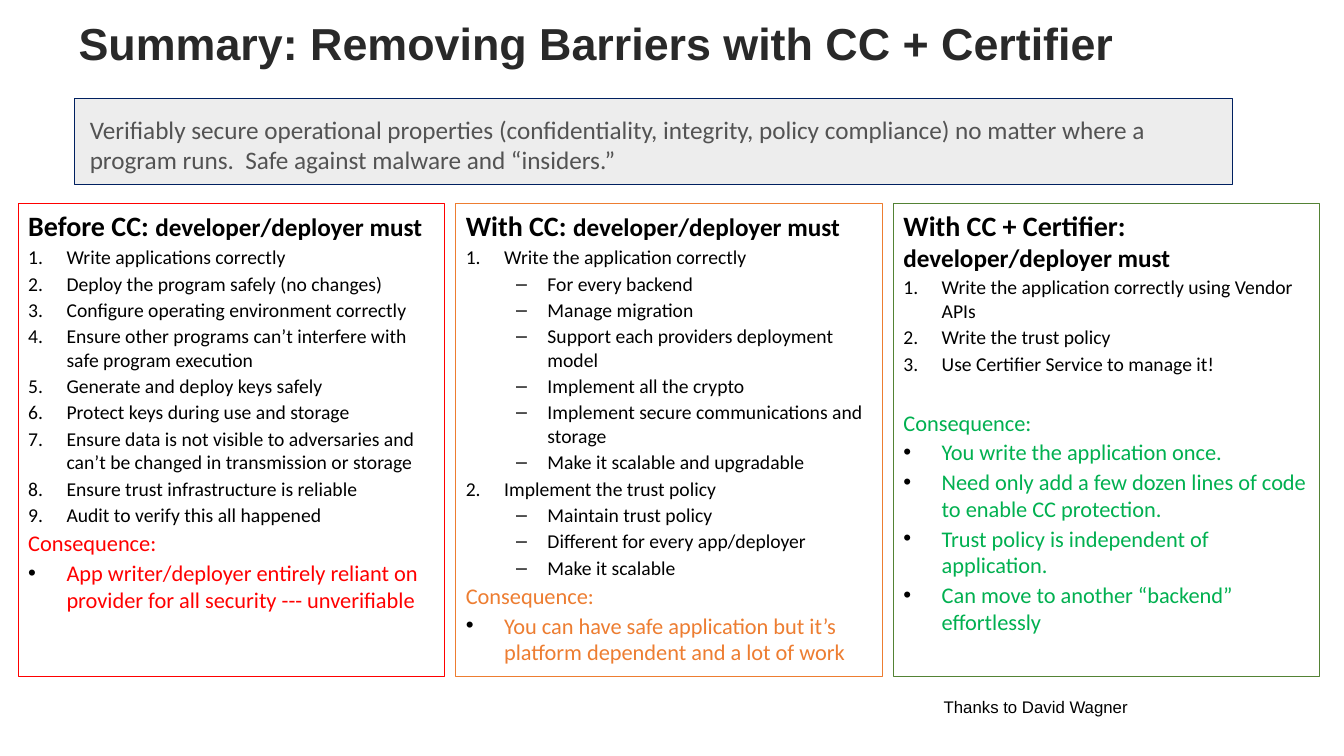
"""Build the summary slide comparing barriers before CC, with CC and with CC + Certifier."""
import lxml.etree
import pptx
import pptx.dml.color
import pptx.enum.text
import pptx.oxml.ns
import pptx.util

RGBColor = pptx.dml.color.RGBColor
Pt = pptx.util.Pt
PX = 9144

BLACK = RGBColor(0x00, 0x00, 0x00)
CHARCOAL = RGBColor(0x29, 0x29, 0x29)
GREY = RGBColor(0x53, 0x53, 0x53)
PALE = RGBColor(0xED, 0xED, 0xED)
NAVY = RGBColor(0x00, 0x20, 0x60)
RED = RGBColor(0xFF, 0x00, 0x00)
ORANGE = RGBColor(0xED, 0x7D, 0x31)
FOREST = RGBColor(0x54, 0x82, 0x35)
GREEN = RGBColor(0x00, 0xB0, 0x50)

NUMBER = ("buAutoNum", {"type": "arabicPeriod"}, 0, 38, 38)
DASH = ("buChar", {"char": "–"}, 1, 81, 31)
DOT = ("buChar", {"char": "•"}, 0, 38, 38)

COLUMNS = [
    {"heading": "Before CC: ", "border": RED, "accent": RED, "gap": 2,
     "tasks": [("Write applications correctly", []),
               ("Deploy the program safely (no changes)", []),
               ("Configure operating environment correctly", []),
               ("Ensure other programs can’t interfere with safe program execution", []),
               ("Generate and deploy keys safely", []),
               ("Protect keys during use and storage", []),
               ("Ensure data is not visible to adversaries and can’t be changed "
                "in transmission or storage", []),
               ("Ensure trust infrastructure is reliable", []),
               ("Audit to verify this all happened", [])],
     "results": ["App writer/deployer entirely reliant on provider for all security "
                 "--- unverifiable"]},
    {"heading": "With CC: ", "border": ORANGE, "accent": ORANGE, "gap": 2,
     "tasks": [("Write the application correctly",
                ["For every backend", "Manage migration",
                 "Support each providers deployment model", "Implement all the crypto",
                 "Implement secure communications and storage",
                 "Make it scalable and upgradable"]),
               ("Implement the trust policy",
                ["Maintain trust policy", "Different for every app/deployer",
                 "Make it scalable"])],
     "results": ["You can have safe application but it’s platform dependent "
                 "and a lot of work"]},
    {"heading": "With CC + Certifier: ", "border": FOREST, "accent": GREEN, "gap": 24,
     "tasks": [("Write the application correctly using Vendor APIs", []),
               ("Write the trust policy", []),
               ("Use Certifier Service to manage it!", [])],
     "results": ["You write the application once.",
                 "Need only add a few dozen lines of code to enable CC protection.",
                 "Trust policy is independent of application.",
                 "Can move to another “backend” effortlessly"]},
]


def set_all(target, values):
    """Set every attribute named in a dict of format values."""
    for name, value in values.items():
        setattr(target, name, value)


def place(sp, left, top, width, height, inset_x, inset_y, anchor="TOP"):
    """Move a text shape to its place and return its prepared text frame."""
    set_all(sp, {"left": left * PX, "top": top * PX,
                 "width": width * PX, "height": height * PX})
    tf = sp.text_frame
    set_all(tf, {"word_wrap": True, "auto_size": pptx.enum.text.MSO_AUTO_SIZE.NONE,
                 "vertical_anchor": pptx.enum.text.MSO_ANCHOR[anchor],
                 "margin_left": inset_x * PX, "margin_right": inset_x * PX,
                 "margin_top": inset_y * PX, "margin_bottom": inset_y * PX})
    return tf


def outline(sp, color):
    """Give a shape a thin border."""
    sp.line.color.rgb = color
    sp.line.width = Pt(0.75)


def add_run(p, text, size, color=BLACK, bold=False, font="Calibri"):
    """Add a formatted run to a paragraph."""
    r = p.add_run()
    r.text = text
    set_all(r.font, {"size": Pt(size), "bold": bold, "name": font})
    r.font.color.rgb = color


def add_paragraph(tf, bullet=None, before=2, after=0, spacing=1.0):
    """Add a left-aligned paragraph with an optional bullet, using the first one if empty."""
    p = tf.paragraphs[0] if not tf.text else tf.add_paragraph()
    set_all(p, {"alignment": pptx.enum.text.PP_ALIGN.LEFT, "space_before": Pt(before),
                "space_after": Pt(after), "line_spacing": spacing})
    tag, attributes, level, margin, hanging = bullet or ("buNone", {}, 0, 0, 0)
    p.level = level
    pPr = p._p.get_or_add_pPr()
    pPr.set("marL", str(margin * PX))
    pPr.set("indent", str(-hanging * PX))
    qn = pptx.oxml.ns.qn
    if bullet:
        color = lxml.etree.SubElement(pPr, qn("a:buClr"))
        lxml.etree.SubElement(color, qn("a:srgbClr"), val=str(BLACK))
        lxml.etree.SubElement(pPr, qn("a:buFont"), typeface="Arial" if tag == "buChar" else "+mj-lt")
    lxml.etree.SubElement(pPr, qn("a:" + tag), attributes)
    return p


def fill_column(sp, left, column):
    """Write one bordered column with its heading, tasks and consequences."""
    tf = place(sp, left, 202, 423, 469, 10, 5)
    outline(sp, column["border"])
    heading = add_paragraph(tf)
    add_run(heading, column["heading"], 20, bold=True)
    add_run(heading, "developer/deployer must", 18, bold=True)
    for task, steps in column["tasks"]:
        add_run(add_paragraph(tf, NUMBER), task, 14)
        for step in steps:
            add_run(add_paragraph(tf, DASH), step, 14)
    add_run(add_paragraph(tf, before=column["gap"]), "Consequence:", 16, column["accent"])
    for result in column["results"]:
        add_run(add_paragraph(tf, DOT), result, 16, column["accent"])


def main():
    """Build and save the slide."""
    prs = pptx.Presentation()
    set_all(prs, {"slide_width": 1333 * PX, "slide_height": 750 * PX})
    s = prs.slides.add_slide(prs.slide_layouts[4])
    title, banner, *bodies = s.placeholders

    tf = place(title, 73, 3, 1150, 85, 5, 5, "MIDDLE")
    add_run(add_paragraph(tf, before=0, spacing=0.9),
            "Summary: Removing Barriers with CC + Certifier", 32, CHARCOAL, True, "Arial")

    tf = place(banner, 74, 98, 1148, 85, 15, 15)
    banner.fill.solid()
    banner.fill.fore_color.rgb = PALE
    outline(banner, NAVY)
    add_run(add_paragraph(tf),
            "Verifiably secure operational properties (confidentiality, integrity, policy "
            "compliance) no matter where a program runs.  Safe against malware and “insiders.”",
            18, GREY)

    for i, (sp, column) in enumerate(zip(bodies, COLUMNS)):
        fill_column(sp, 18 + 434 * i, column)

    tf = place(s.shapes.add_textbox(0, 0, 0, 0), 936, 691, 197, 20, 0, 0)
    add_run(add_paragraph(tf, before=0, after=6), "Thanks to David Wagner", 12, font="Arial")
    prs.save("out.pptx")


if __name__ == "__main__":
    main()
